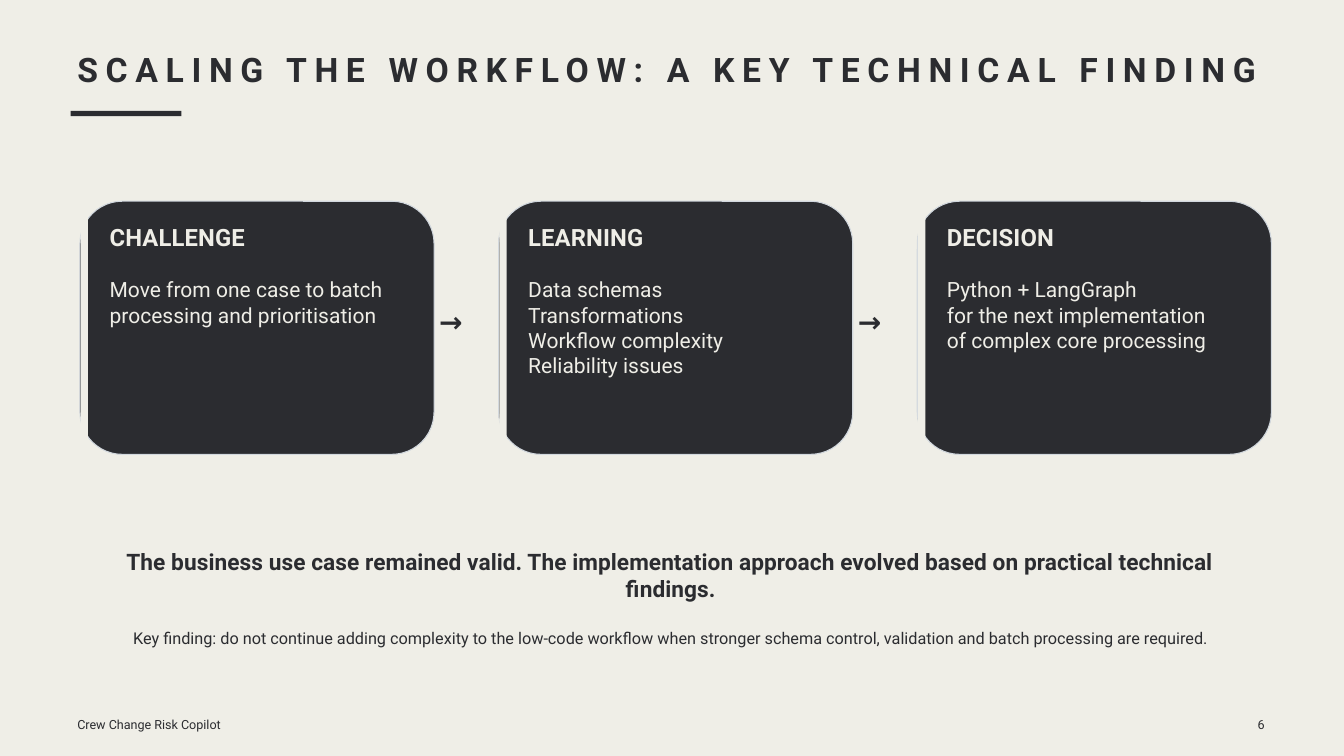
from pptx import Presentation
from pptx.dml.color import RGBColor
from pptx.enum.shapes import MSO_SHAPE as Shape
from pptx.enum.text import MSO_ANCHOR as Anchor, MSO_AUTO_SIZE as AutoSize, PP_ALIGN as Align
from pptx.util import Pt

DARK = "2B2C30"
LIGHT = "EFEEE7"
CARD_EDGE = "D2D8DE"
CARD_LEFT, CARD_PITCH = 85.7, 448.56
CARDS = [
    ("CHALLENGE", ["Move from one case to batch processing and prioritisation"]),
    ("LEARNING", ["Data schemas", "Transformations", "Workflow complexity", "Reliability issues"]),
    ("DECISION", ["Python + LangGraph", "for the next implementation", "of complex core processing"]),
]


def color(value):
    return RGBColor.from_string(value)


def place(box, left, top, width, height):
    box.left, box.top, box.width, box.height = Pt(left), Pt(top), Pt(width), Pt(height)


def write(box, lines, size, leading, fill=DARK, bold=False, align=Align.LEFT, spacing=0):
    frame = box.text_frame
    frame.margin_left = frame.margin_right = frame.margin_top = frame.margin_bottom = 0
    frame.word_wrap = True
    frame.auto_size = AutoSize.NONE
    frame.vertical_anchor = Anchor.TOP
    for index, line in enumerate(lines):
        para = frame.paragraphs[0] if index == 0 else frame.add_paragraph()
        para.alignment = align
        para.line_spacing = Pt(leading)
        para.space_before = Pt(0)
        para.font.name = "Roboto"
        para.font.size = Pt(size)
        para.font.bold = bold
        para.font.color.rgb = color(fill)
        span = para.add_run()
        span.text = line
        if spacing:
            span._r.get_or_add_rPr().set("spc", str(round(spacing * 100)))


def add_text(page, area, lines, size, leading, **style):
    box = page.shapes.add_textbox(0, 0, 0, 0)
    place(box, *area)
    write(box, lines, size, leading, **style)


def add_block(page, kind, area, fill, edge=None):
    block = page.shapes.add_shape(kind, *[Pt(length) for length in area])
    block.shadow.inherit = False
    block.fill.solid()
    block.fill.fore_color.rgb = color(fill)
    if edge:
        block.line.color.rgb = color(edge)
        block.line.width = Pt(1.13)
    else:
        block.line.fill.background()
    return block


def add_card(page, left, heading, lines):
    card = add_block(page, Shape.ROUNDED_RECTANGLE, (left, 215.6, 379.4, 271.2), DARK, CARD_EDGE)
    card.adjustments[0] = 0.167
    add_block(page, Shape.RECTANGLE, (left + 0.7, 216.2, 7.9, 270.2), LIGHT)
    add_text(page, (left + 31.7, 238.3, 326, 31), [heading], 25.5, 30.6, fill=LIGHT, bold=True, spacing=0.1)
    add_text(page, (left + 31.7, 296.6, 322.6, 27 * max(len(lines), 2)), lines, 22.5, 27, fill=LIGHT)


def main():
    deck = Presentation()
    deck.slide_width, deck.slide_height = Pt(1440), Pt(810)
    page = deck.slides.add_slide(deck.slide_layouts[5])
    page.background.fill.solid()
    page.background.fill.fore_color.rgb = color(LIGHT)

    title = page.shapes.title
    place(title, 82.8, 51.8, 1339.2, 43.2)
    write(title, ["SCALING THE WORKFLOW: A KEY TECHNICAL FINDING"], 36.1, 43.3, bold=True, spacing=8.2)
    add_block(page, Shape.RECTANGLE, (75.6, 118.8, 118.8, 5.6), DARK)

    for index, (heading, lines) in enumerate(CARDS):
        left = CARD_LEFT + index * CARD_PITCH
        add_card(page, left, heading, lines)
        if index < len(CARDS) - 1:
            add_text(page, (left + 382.3, 326.2, 30.2, 37.4), ["→"], 30.1, 36.2,
                     bold=True, align=Align.CENTER, spacing=0.1)

    add_text(page, (115.2, 586.8, 1206.7, 58),
             ["The business use case remained valid. The implementation approach evolved "
              "based on practical technical findings."],
             24.3, 29.1, bold=True, align=Align.CENTER, spacing=0.1)
    add_text(page, (126, 673.2, 1185.1, 41),
             ["Key finding: do not continue adding complexity to the low-code workflow when "
              "stronger schema control, validation and batch processing are required."],
             17.4, 20.9, align=Align.CENTER)
    add_text(page, (82.8, 768.2, 162, 16.6), ["Crew Change Risk Copilot"], 13.5, 16.2)
    add_text(page, (1346.4, 768.2, 8.6, 16.6), ["6"], 13.5, 16.2, align=Align.RIGHT)
    deck.save("out.pptx")


if __name__ == "__main__":
    main()
